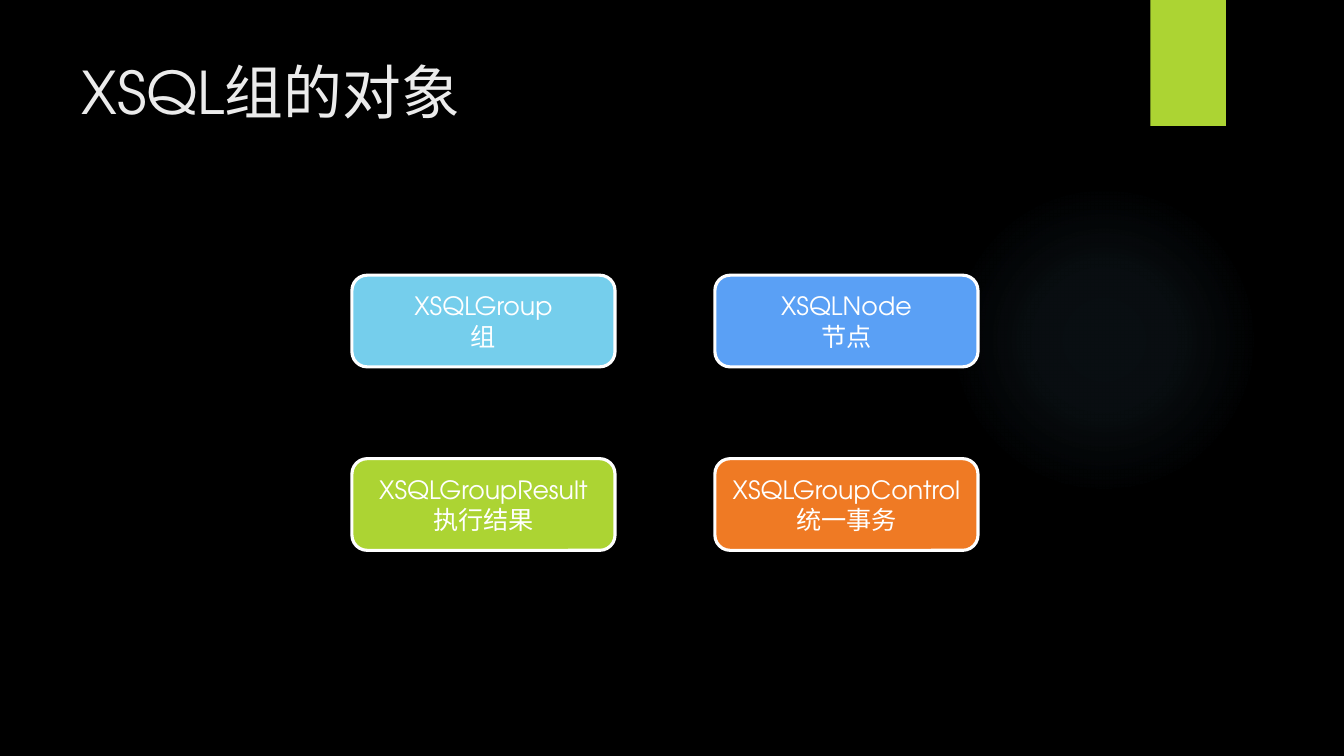
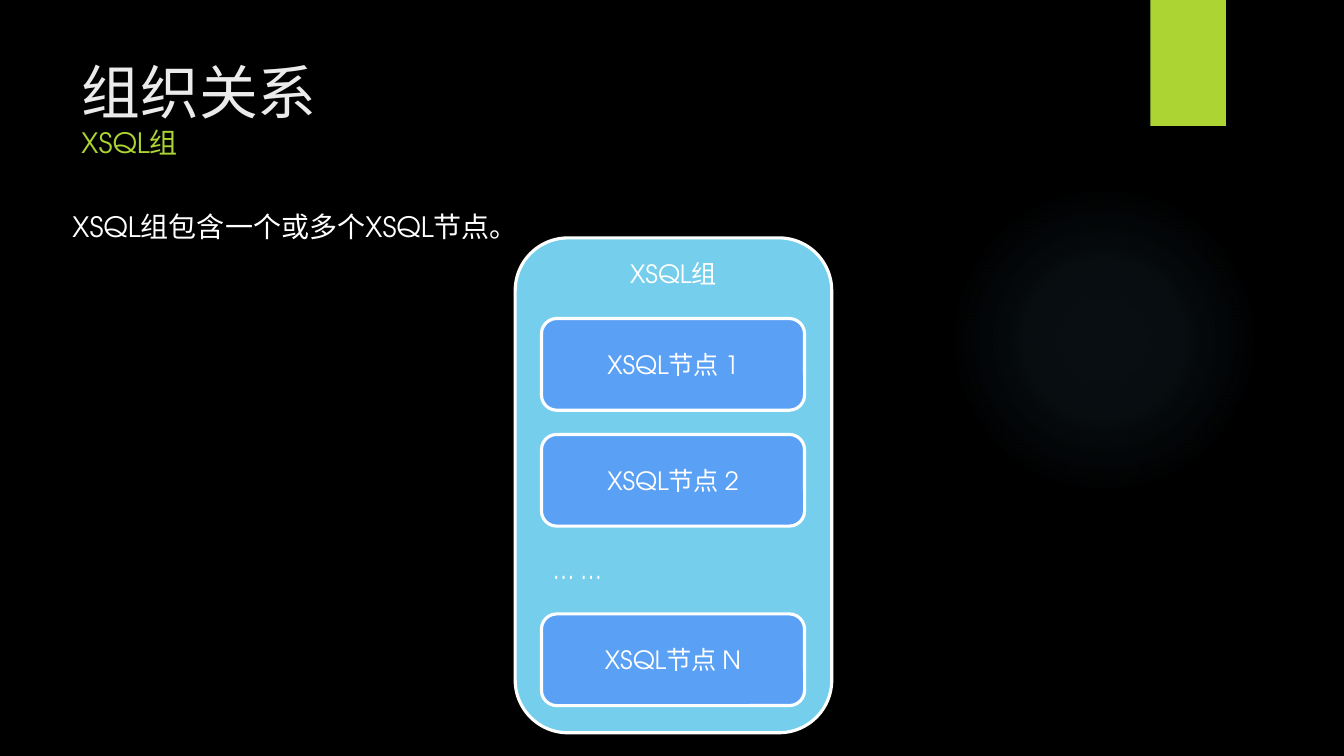
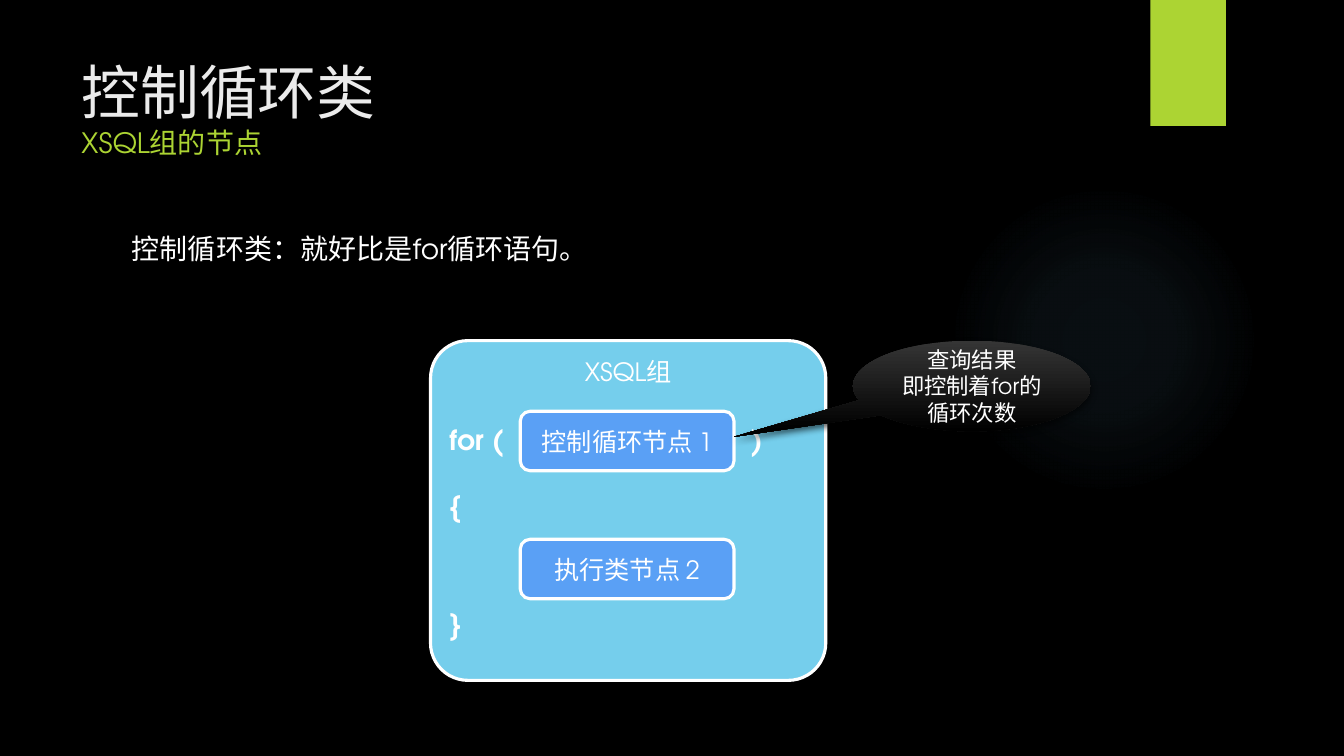
"""Build three dark slides on the objects, structure and loop nodes of an XSQL group."""
from lxml import etree
from pptx import Presentation
from pptx import util as u
from pptx.dml.color import RGBColor
from pptx.enum import shapes, text
from pptx.oxml import ns

SIZE = 13.33, 7.5
FONT = "TeX Gyre Adventor"
BLACK, WHITE, PALE = "000000", "FFFFFF", "EBEBEB"
SKY, BLUE, GREEN, ORANGE = "75CEEC", "5AA0F5", "ACD433", "EF7A24"
GLOW = "7AC4F0"
TOP, MIDDLE = text.MSO_ANCHOR.TOP, text.MSO_ANCHOR.MIDDLE
LEFT, CENTER = text.PP_ALIGN.LEFT, text.PP_ALIGN.CENTER
SHAPE = shapes.MSO_SHAPE

TITLE_BOX = 0.71, 0.5, 10.29, 1.53
GLOW_BOX = 9.41, 1.83, 3.08, 3.08
TAB_BOX = 11.41, 0, 0.75, 1.25
NODE_SIZE = 2.61, 0.91

OBJECTS = [
    [("XSQLGroup", "组", SKY), ("XSQLNode", "节点", BLUE)],
    [("XSQLGroupResult", "执行结果", GREEN), ("XSQLGroupControl", "统一事务", ORANGE)],
]
OBJECT_ORIGIN, OBJECT_STEP = (3.49, 2.73), (3.6, 1.82)

GROUP_BOX = 5.11, 2.36, 3.14, 4.91
GROUP_NODES = [("XSQL节点 1", 3.16), ("XSQL节点 2", 4.31), ("XSQL节点 N", 6.09)]
GROUP_NODE_LEFT = 5.37

LOOP_BOX = 4.27, 3.38, 3.92, 3.37
LOOP_NODES = [("控制循环节点 1", 4.08), ("执行类节点 2", 5.35)]
LOOP_NODE_LEFT, LOOP_NODE_SIZE = 5.16, (2.12, 0.59)
LOOP_TOKENS = [("for (", 4.36, 4.14, 0.74), (")", 7.35, 4.14, 0.31),
               ("{", 4.36, 4.8, 0.3), ("}", 4.36, 5.97, 0.3)]
CALLOUT_BOX = 8.46, 3.38, 2.36, 0.9


def rgb(color):
    return RGBColor.from_string(color)


def inches(box):
    return [u.Inches(length) for length in box]


def write(shape, lines, size=18, color=WHITE, align=LEFT, anchor=TOP, wrap=True,
          bold=False):
    """Fill a shape with lines; a line may be (text, size, color)."""
    frame = shape.text_frame
    for name, value in {"word_wrap": wrap, "vertical_anchor": anchor}.items():
        setattr(frame, name, value)
    for index, line in enumerate(lines):
        words, points, tint = line if isinstance(line, tuple) else (line, size, color)
        paragraph = frame.paragraphs[0] if index == 0 else frame.add_paragraph()
        paragraph.alignment = align
        run = paragraph.add_run()
        run.text = words
        for name, value in {"name": FONT, "size": u.Pt(points), "bold": bold}.items():
            setattr(run.font, name, value)
        run.font.color.rgb = rgb(tint)


def add_text(slide, box, lines, **style):
    write(slide.shapes.add_textbox(*inches(box)), lines, **style)


def add_plain(slide, kind, box, fill=None):
    shape = slide.shapes.add_shape(kind, *inches(box))
    shape.shadow.inherit = False
    shape.line.fill.background()
    if fill:
        shape.fill.solid()
        shape.fill.fore_color.rgb = rgb(fill)
    else:
        shape.fill.background()
    return shape


def add_card(slide, box, lines, fill, anchor=MIDDLE):
    shape = add_plain(slide, SHAPE.ROUNDED_RECTANGLE, box, fill)
    shape.line.color.rgb = rgb(WHITE)
    shape.line.width = u.Pt(2.25)
    write(shape, lines, align=CENTER, anchor=anchor)
    return shape


def add_color(parent, color, alpha):
    node = etree.SubElement(parent, ns.qn("a:srgbClr"), val=color)
    if alpha < 100:
        etree.SubElement(node, ns.qn("a:alpha"), val=str(alpha * 1000))


def set_gradient(shape, stops, radial=False):
    gradient = etree.Element(ns.qn("a:gradFill"), rotWithShape="1")
    stop_list = etree.SubElement(gradient, ns.qn("a:gsLst"))
    for position, color, alpha in stops:
        stop = etree.SubElement(stop_list, ns.qn("a:gs"), pos=str(position * 1000))
        add_color(stop, color, alpha)
    if radial:
        radius = etree.SubElement(gradient, ns.qn("a:path"), attrib={"path": "circle"})
        etree.SubElement(radius, ns.qn("a:fillToRect"),
                         attrib=dict.fromkeys("ltrb", "50000"))
    else:
        etree.SubElement(gradient, ns.qn("a:lin"), ang="5400000", scaled="0")
    properties = shape.element.spPr
    properties.replace(properties.find(ns.qn("a:noFill")), gradient)


def set_shadow(shape, alpha, blur, distance):
    effects = shape.element.spPr.find(ns.qn("a:effectLst"))
    shadow = etree.SubElement(effects, ns.qn("a:outerShdw"), blurRad=str(u.Pt(blur)),
                              dist=str(u.Pt(distance)), dir="5400000", rotWithShape="0")
    add_color(shadow, BLACK, alpha)


def add_slide(presentation, title, subtitle=None):
    slide = presentation.slides.add_slide(presentation.slide_layouts[6])
    glow = add_plain(slide, SHAPE.OVAL, GLOW_BOX)
    set_gradient(glow, [(0, GLOW, 7), (36, GLOW, 6), (69, GLOW, 0), (100, GLOW, 0)], True)
    add_plain(slide, SHAPE.RECTANGLE, TAB_BOX, GREEN)
    lines = [(title, 42, PALE)] + ([(subtitle, 20, GREEN)] if subtitle else [])
    add_text(slide, TITLE_BOX, lines)
    return slide


def build_objects(presentation):
    slide = add_slide(presentation, "XSQL组的对象")
    for row, cards in enumerate(OBJECTS):
        for column, (name, meaning, fill) in enumerate(cards):
            corner = [start + step * count for start, step, count
                      in zip(OBJECT_ORIGIN, OBJECT_STEP, (column, row))]
            add_card(slide, (*corner, *NODE_SIZE), [name, meaning], fill)


def build_structure(presentation):
    slide = add_slide(presentation, "组织关系", "XSQL组")
    add_card(slide, GROUP_BOX, ["XSQL组"], SKY, TOP)
    for name, top in GROUP_NODES:
        add_card(slide, (GROUP_NODE_LEFT, top, *NODE_SIZE), [name], BLUE)
    add_text(slide, (5.39, 5.45, 0.82, 0.4), ["… …"])
    add_text(slide, (0.62, 2.03, 9.78, 0.5), ["XSQL组包含一个或多个XSQL节点。"], size=20)


def build_loop(presentation):
    slide = add_slide(presentation, "控制循环类", "XSQL组的节点")
    add_text(slide, (1.21, 2.25, 9.78, 0.5), ["控制循环类：就好比是for循环语句。"], size=20)
    group = add_card(slide, LOOP_BOX, ["XSQL组"], SKY, TOP)
    group.adjustments[0] = 0.11
    for name, top in LOOP_NODES:
        add_card(slide, (LOOP_NODE_LEFT, top, *LOOP_NODE_SIZE), [name], BLUE)
    for token, left, top, width in LOOP_TOKENS:
        add_text(slide, (left, top, width, 0.44), [token], size=20, bold=True, wrap=False)
    callout = add_plain(slide, SHAPE.OVAL_CALLOUT, CALLOUT_BOX)
    callout.adjustments[0], callout.adjustments[1] = -1, 0.56
    set_gradient(callout, [(0, "353535", 100), (100, BLACK, 100)])
    set_shadow(callout, alpha=60, blur=5, distance=3)
    write(callout, ["查询结果", "即控制着for的循环次数"], size=16, align=CENTER, anchor=MIDDLE)


def main():
    presentation = Presentation()
    presentation.slide_width, presentation.slide_height = inches(SIZE)
    background = presentation.slide_master.background.fill
    background.solid()
    background.fore_color.rgb = rgb(BLACK)
    for build in (build_objects, build_structure, build_loop):
        build(presentation)
    presentation.save("out.pptx")


if __name__ == "__main__":
    main()
